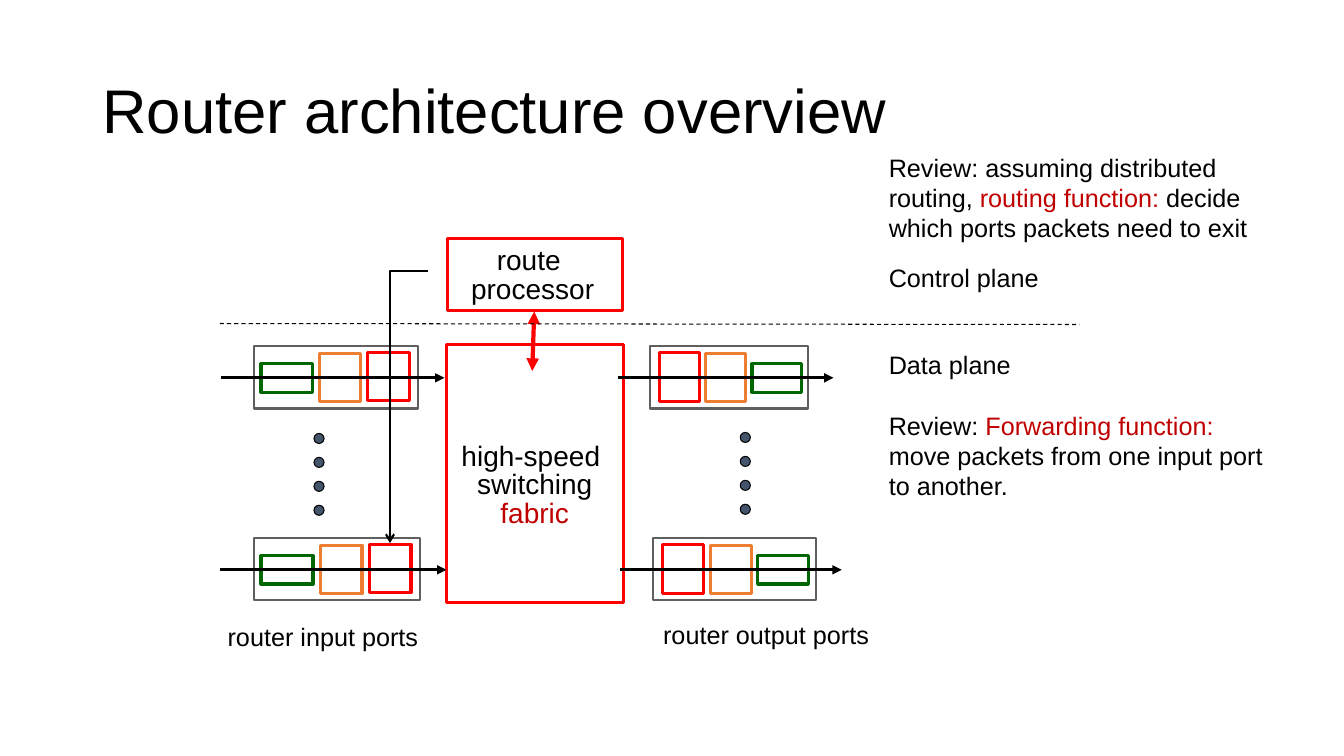
import pptx
import pptx.dml.color
import pptx.enum.dml
import pptx.enum.shapes
import pptx.enum.text
import pptx.oxml
import pptx.oxml.ns
import pptx.util

Pt = pptx.util.Pt
RGBColor = pptx.dml.color.RGBColor
MSO_SHAPE = pptx.enum.shapes.MSO_SHAPE
MSO_CONNECTOR = pptx.enum.shapes.MSO_CONNECTOR
MSO_AUTO_SIZE = pptx.enum.text.MSO_AUTO_SIZE
PP_ALIGN = pptx.enum.text.PP_ALIGN

BLACK = RGBColor(0x00, 0x00, 0x00)
WHITE = RGBColor(0xFF, 0xFF, 0xFF)
RED = RGBColor(0xFF, 0x00, 0x00)
DARK_RED = RGBColor(0xC0, 0x00, 0x00)
GREEN = RGBColor(0x00, 0x66, 0x00)
ORANGE = RGBColor(0xED, 0x7D, 0x31)
GRAY = RGBColor(0x5F, 0x5F, 0x5F)
SLATE = RGBColor(0x44, 0x54, 0x6A)

# Parts of a port: offset from frame left, width, height, shift down, colour
INPUT_PARTS = [(5, 36.7, 20.2, 0.5, GREEN), (46.8, 29.5, 34.6, 0.2, ORANGE),
               (81.4, 29.5, 34.6, -0.5, RED)]
OUTPUT_PARTS = [(72.7, 35.3, 20.2, 0.5, GREEN), (39.6, 28.8, 34.6, 0.2, ORANGE),
                (6.5, 28.8, 34.6, -0.2, RED)]
INPUT_WIDTH, OUTPUT_WIDTH = 117.4, 113
TOP_ROW, BOTTOM_ROW = 269.5, 406.6


class Deck:
    font = "Arial"

    def __init__(self, width, height):
        self.prs = pptx.Presentation()
        self.prs.slide_width, self.prs.slide_height = Pt(width), Pt(height)
        self.s = self.prs.slides.add_slide(self.prs.slide_layouts[5])

    def format_run(self, r, size, color=BLACK):
        r.font.name, r.font.size = self.font, Pt(size)
        r.font.color.rgb = color

    def title(self, text, x, y, w, h):
        sp = self.s.shapes.title
        sp.left, sp.top, sp.width, sp.height = Pt(x), Pt(y), Pt(w), Pt(h)
        tf = sp.text_frame
        tf.text = text
        tf.auto_size = MSO_AUTO_SIZE.NONE
        tf.vertical_anchor = pptx.enum.text.MSO_ANCHOR.MIDDLE
        p = tf.paragraphs[0]
        p.alignment, p.line_spacing = PP_ALIGN.LEFT, 0.9
        self.format_run(p.runs[0], 44)

    def text(self, text, x, y, w, h, size=18, wrap=True, align=None, spacing=None):
        """Add a text box; newlines split paragraphs, asterisks enclose accented words."""
        tf = self.s.shapes.add_textbox(Pt(x), Pt(y), Pt(w), Pt(h)).text_frame
        tf.word_wrap = wrap
        tf.auto_size = MSO_AUTO_SIZE.SHAPE_TO_FIT_TEXT
        for i, line in enumerate(text.split("\n")):
            p = tf.add_paragraph() if i else tf.paragraphs[0]
            p.alignment, p.line_spacing = align, spacing
            for j, part in enumerate(line.split("*")):
                if part:
                    r = p.add_run()
                    r.text = part
                    self.format_run(r, size, DARK_RED if j % 2 else BLACK)

    def shape(self, x, y, w, h, line, weight=2.25, fill=WHITE,
              kind=MSO_SHAPE.RECTANGLE, parent=None):
        sp = (parent or self.s).shapes.add_shape(kind, Pt(x), Pt(y), Pt(w), Pt(h))
        sp.shadow.inherit = False
        sp.fill.solid()
        sp.fill.fore_color.rgb = fill
        sp.line.color.rgb = line
        sp.line.width = Pt(weight)

    def line(self, x1, y1, x2, y2, color=BLACK, weight=2.25, head=None, tail=None,
             dash=None, kind=MSO_CONNECTOR.STRAIGHT, parent=None):
        c = (parent or self.s).shapes.add_connector(kind, Pt(x1), Pt(y1), Pt(x2), Pt(y2))
        c.line.color.rgb = color
        c.line.width = Pt(weight)
        if dash:
            c.line.dash_style = dash
        ln = c.line._get_or_add_ln()
        for tag, end in (("a:headEnd", head), ("a:tailEnd", tail)):
            if end:
                el = pptx.oxml.parse_xml(f"<{tag} {pptx.oxml.ns.nsdecls('a')}/>")
                el.set("type", end)
                ln.append(el)
        c._element.spPr.append(
            pptx.oxml.parse_xml(f"<a:effectLst {pptx.oxml.ns.nsdecls('a')}/>"))
        return c

    def elbow(self, x1, y1, x2, y2, **style):
        """Add a connector that runs sideways, then turns once."""
        c = self.line(x1, y1, x2, y2, kind=MSO_CONNECTOR.ELBOW, **style)
        c._element.spPr.find(pptx.oxml.ns.qn("a:prstGeom")).set("prst", "bentConnector2")

    def port(self, x, mid, width, base_width, parts, start, end):
        """Add a framed port around the height mid, its parts scaled to the frame."""
        g = self.s.shapes.add_group_shape()
        scale = width / base_width
        self.shape(x, mid - 22.3, width, 44.6, GRAY, 1.5, parent=g)
        for offset, w, h, shift, color in parts:
            self.shape(x + offset * scale, mid + shift - h / 2, w * scale, h, color, parent=g)
        self.line(start, mid + 0.4, end, mid + 0.4, tail="triangle", parent=g)

    def dots(self, x, y, count=4, step=17.1, size=7.2):
        g = self.s.shapes.add_group_shape()
        for i in range(count):
            self.shape(x, y + i * step, size, size, BLACK, 0.75, SLATE, MSO_SHAPE.OVAL, g)


def main():
    d = Deck(960, 540)
    d.title("Router architecture overview", 66, 28.8, 828, 104.4)

    centred = dict(size=20, wrap=False, align=PP_ALIGN.CENTER, spacing=0.85)
    d.shape(319, 246.2, 126.7, 184.3, RED)
    d.text("high-speed \nswitching\n*fabric*", 322, 313.2, 120, 69.8, **centred)
    d.shape(319.7, 170.6, 125.3, 51.1, RED)
    d.text("route \nprocessor", 329, 173.5, 103, 49, **centred)
    d.line(381.6, 222.5, 380.2, 265, RED, 3, "triangle", "triangle")

    d.port(181.4, TOP_ROW, 117.4, INPUT_WIDTH, INPUT_PARTS, 157.7, 317.5)
    d.port(181.4, BOTTOM_ROW, 118.8, INPUT_WIDTH, INPUT_PARTS, 157, 319)
    d.dots(224.3, 309.6)
    d.text("router input ports", 155.5, 440, 150.5, 28.8, wrap=False)

    d.port(464.4, TOP_ROW, 113, OUTPUT_WIDTH, OUTPUT_PARTS, 441.4, 595.4)
    d.port(466.6, BOTTOM_ROW, 116, OUTPUT_WIDTH, OUTPUT_PARTS, 442.8, 601.2)
    d.dots(528.8, 308.9)
    d.text("router output ports", 466.6, 438.5, 161.3, 28.8, wrap=False)

    d.elbow(306, 193.7, 278.6, 388, weight=1.5, tail="arrow")
    d.line(157, 231.1, 771, 231.8, weight=0.75, dash=pptx.enum.dml.MSO_LINE.DASH)

    for text, y, w, h in [
        ("Control plane", 183.6, 132.5, 28.8),
        ("Data plane", 246.2, 132.5, 28.8),
        ("Review: *Forwarding function: *move packets from one input port to another.",
         289.4, 289.4, 72.7),
        ("Review: assuming distributed routing, *routing function: *decide which ports "
         "packets need to exit", 105.1, 289.4, 72.7),
    ]:
        d.text(text, 627.8, y, w, h)

    d.prs.save("out.pptx")


if __name__ == "__main__":
    main()
